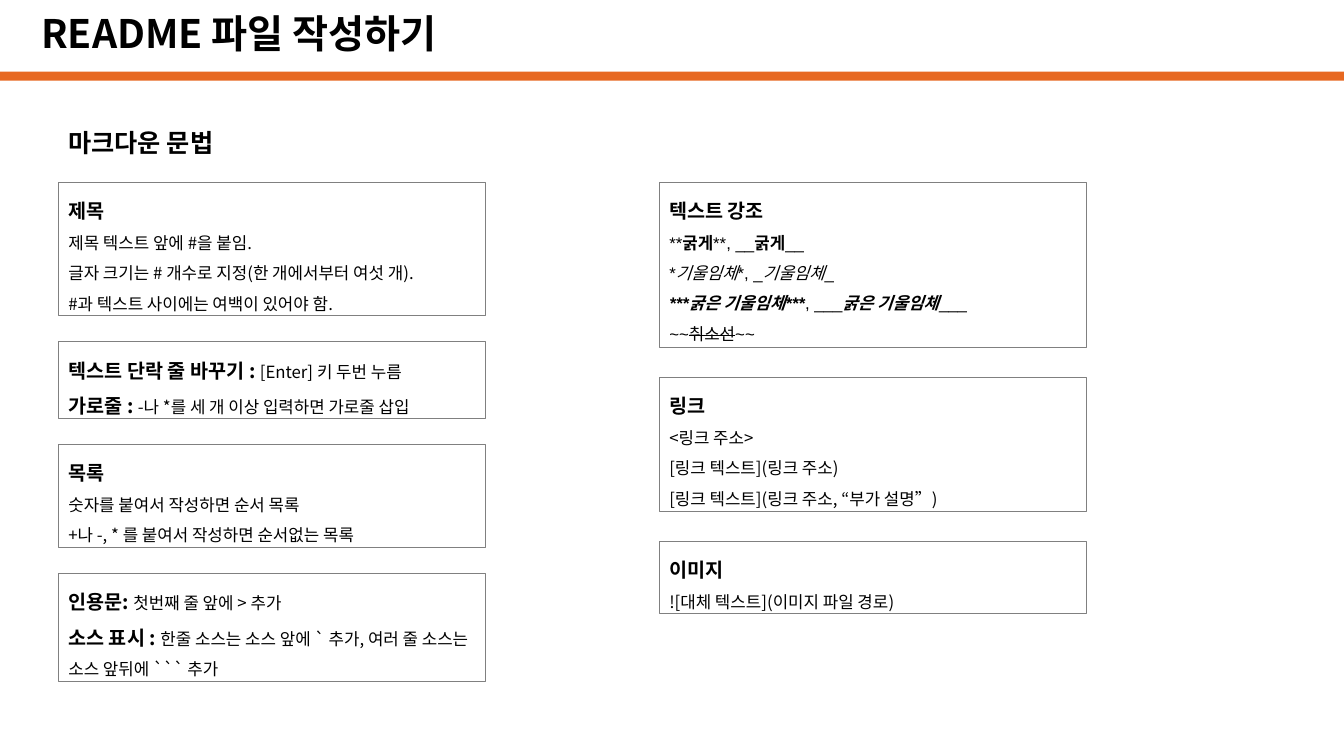
from lxml.etree import SubElement
from pptx import Presentation
from pptx.dml.color import RGBColor
from pptx.enum.shapes import MSO_SHAPE
from pptx.enum.text import MSO_ANCHOR, MSO_AUTO_SIZE
from pptx.oxml.ns import qn
from pptx.util import Inches, Pt

theme = {
    "ink": RGBColor.from_string("000000"),
    "edge": RGBColor.from_string("808080"),
    "bar": RGBColor.from_string("E76821"),
    "font": "Noto Sans CJK KR",
    "latin": "Arial",
    "title": Pt(28),
    "topic": Pt(18),
    "head": Pt(14),
    "body": Pt(12),
}
styles = {
    "title": {"size": theme["title"], "bold": True},
    "topic": {"size": theme["topic"], "bold": True},
    "head": {"size": theme["head"], "bold": True},
    "body": {"size": theme["body"]},
    "mark": {"size": theme["body"], "name": theme["latin"]},
    "bold": {"size": theme["body"], "name": theme["latin"], "bold": True},
    "slant": {"size": theme["body"], "name": theme["latin"], "italic": True},
    "both": {"size": theme["body"], "name": theme["latin"], "bold": True, "italic": True},
    "strike": {"size": theme["body"], "name": theme["latin"]},
}

deck = Presentation()
deck.slide_width, deck.slide_height = Inches(13.33), Inches(7.5)
slide = deck.slides.add_slide(deck.slide_layouts[6])


def place(left, top, width, height):
    wide, high = deck.slide_width / 100, deck.slide_height / 100
    return [round(n) for n in (left * wide, top * high, width * wide, height * high)]


def write(area, lines, space):
    box = slide.shapes.add_textbox(*place(*area))
    frame = box.text_frame
    frame.word_wrap = True
    for row, line in enumerate(lines):
        para = frame.paragraphs[0] if row == 0 else frame.add_paragraph()
        para.line_spacing = space
        for style, text in line:
            run = para.add_run()
            run.text = text
            run.font.color.rgb = theme["ink"]
            for key, value in {"name": theme["font"], **styles[style]}.items():
                setattr(run.font, key, value)
            props = run._r.get_or_add_rPr()
            SubElement(props, qn("a:ea")).set("typeface", theme["font"])
            if style == "strike":
                props.set("strike", "sngStrike")
    return box


bar = slide.shapes.add_shape(MSO_SHAPE.RECTANGLE, *place(0, 9.47, 100, 1.2))
bar.shadow.inherit = False
bar.fill.solid()
bar.fill.fore_color.rgb = theme["bar"]
bar.line.fill.background()

title = write((2.33, 0.8, 86.27, 8), [[("title", "README 파일 작성하기")]], 0.9)
title.text_frame.vertical_anchor = MSO_ANCHOR.MIDDLE
write((4.35, 16.13, 45.69, 5.33), [[("topic", "마크다운 문법")]], 1.0)

basics = [
    (17.6, [
        [("head", "제목")],
        [("body", "제목 텍스트 앞에 #을 붙임.")],
        [("body", "글자 크기는 # 개수로 지정(한 개에서부터 여섯 개).")],
        [("body", "#과 텍스트 사이에는 여백이 있어야 함.")],
    ]),
    (10.13, [
        [("head", "텍스트 단락 줄 바꾸기 : "), ("body", "[Enter] 키 두번 누름")],
        [("head", "가로줄 : "), ("body", "-나 *를 세 개 이상 입력하면 가로줄 삽입")],
    ]),
    (13.6, [
        [("head", "목록")],
        [("body", "숫자를 붙여서 작성하면 순서 목록")],
        [("body", "+나 -, * 를 붙여서 작성하면 순서없는 목록")],
    ]),
    (14.27, [
        [("head", "인용문: "), ("body", "첫번째 줄 앞에 > 추가")],
        [("head", "소스 표시 : "),
         ("body", "한줄 소스는 소스 앞에 ` 추가, 여러 줄 소스는 소스 앞뒤에 ``` 추가")],
    ]),
]
extras = [
    (21.87, [
        [("head", "텍스트 강조")],
        [("mark", "**"), ("bold", "굵게"), ("mark", "**, __"), ("bold", "굵게"), ("mark", "__")],
        [("mark", "*"), ("slant", "기울임체"), ("mark", "*, _"), ("slant", "기울임체"), ("mark", "_")],
        [("both", "***굵은 기울임체***"), ("mark", ", ___"), ("both", "굵은 기울임체"), ("mark", "___")],
        [("mark", "~~"), ("strike", "취소선"), ("mark", "~~")],
    ]),
    (17.73, [
        [("head", "링크")],
        [("body", "<링크 주소>")],
        [("body", "[링크 텍스트](링크 주소)")],
        [("body", "[링크 텍스트](링크 주소, “부가 설명”)")],
    ]),
    (9.6, [
        [("head", "이미지")],
        [("body", "![대체 텍스트](이미지 파일 경로)")],
    ]),
]

for left, gap, cards in ((4.35, 3.47, basics), (49.06, 3.93, extras)):
    top = 24.13
    for height, lines in cards:
        card = write((left, top, 31.81, height), lines, 1.5)
        card.text_frame.auto_size = MSO_AUTO_SIZE.SHAPE_TO_FIT_TEXT
        card.line.color.rgb = theme["edge"]
        card.line.width = Pt(0.75)
        top += height + gap

deck.save("out.pptx")
